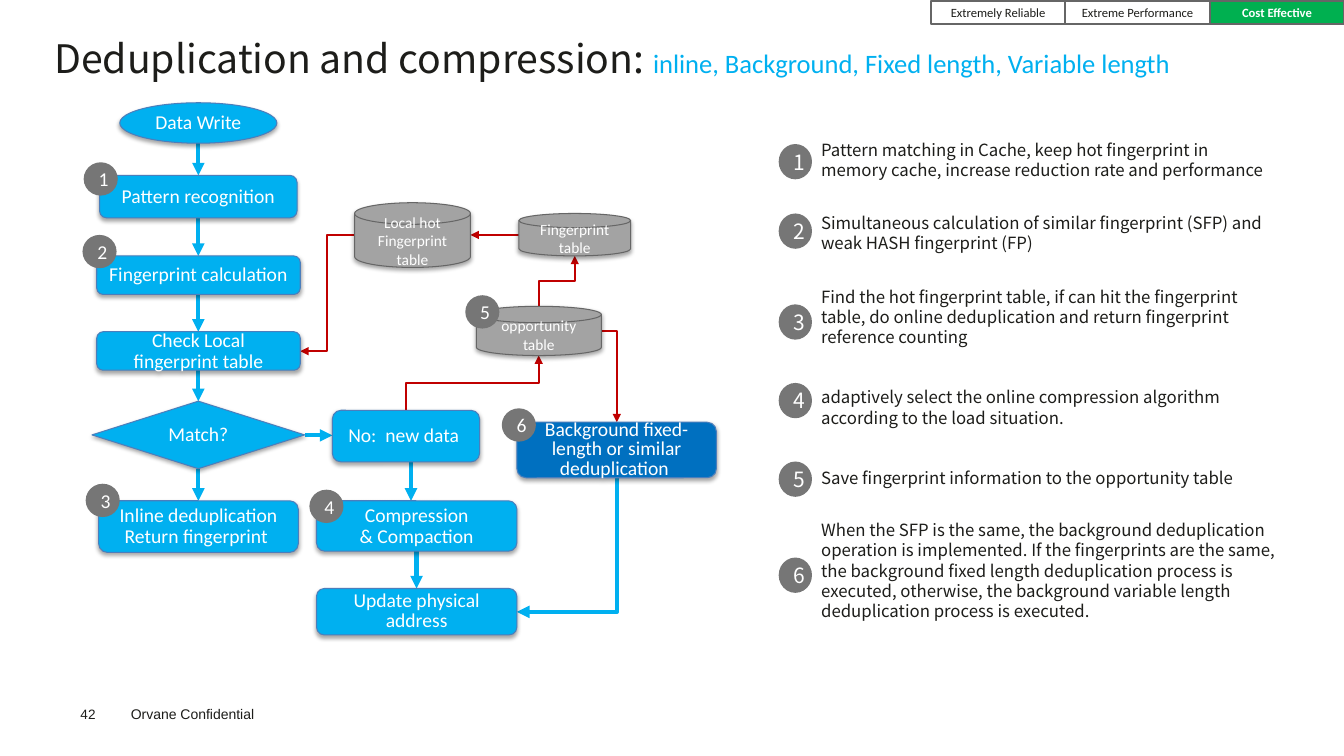
from lxml import etree
from pptx import Presentation
from pptx.dml.color import RGBColor
from pptx.enum.shapes import MSO_CONNECTOR, MSO_SHAPE
from pptx.enum.text import MSO_ANCHOR, PP_ALIGN
from pptx.oxml.ns import qn
from pptx.util import Cm, Pt

STRAIGHT, ELBOW = MSO_CONNECTOR.STRAIGHT, MSO_CONNECTOR.ELBOW
ROUNDED, OVAL, RECT = MSO_SHAPE.ROUNDED_RECTANGLE, MSO_SHAPE.OVAL, MSO_SHAPE.FLOWCHART_PROCESS
DISK, DECISION = MSO_SHAPE.FLOWCHART_MAGNETIC_DISK, MSO_SHAPE.FLOWCHART_DECISION
CENTER, LEFT = PP_ALIGN.CENTER, PP_ALIGN.LEFT
MIDDLE, TOP = MSO_ANCHOR.MIDDLE, MSO_ANCHOR.TOP

BODY, LABEL = "Noto Sans CJK SC", "Calibri"
INK, WHITE, BLUE, DEEP_BLUE, BLUE_EDGE = "1D1D1A", "FFFFFF", "00B0F0", "0070C0", "4B7EBC"
RED, GREEN, GREY, DISK_GREY, EDGE = "C00000", "00B050", "767676", "A3A3A3", "666666"
rgb = RGBColor.from_string

prs = Presentation()
prs.slide_width, prs.slide_height = Cm(33.88), Cm(19.05)
s = prs.slides.add_slide(prs.slide_layouts[6])


def add_block(kind, frame, text, size, font=LABEL, color=WHITE, fill=None, edge=None,
              edge_width=0.75, shadow=False, spacing=None):
    """Add a preset shape with centred text, or a left-aligned text box if kind is None."""
    frame = [Cm(v) for v in frame]
    if kind is None:
        sp = s.shapes.add_textbox(*frame)
    else:
        sp = s.shapes.add_shape(kind, *frame)
        sp.shadow.inherit = False
        if fill:
            sp.fill.solid()
            sp.fill.fore_color.rgb = rgb(fill)
        else:
            sp.fill.background()
        if edge:
            sp.line.color.rgb = rgb(edge)
            sp.line.width = Pt(edge_width)
        else:
            sp.line.fill.background()
    if shadow:
        effects = sp._element.spPr.find(qn("a:effectLst"))
        outer = etree.SubElement(effects, qn("a:outerShdw"), blurRad=str(Pt(3.1)),
                                 dist=str(Pt(1.8)), dir="5400000", rotWithShape="0")
        black = etree.SubElement(outer, qn("a:srgbClr"), val="000000")
        etree.SubElement(black, qn("a:alpha"), val="35000")
    tf = sp.text_frame
    tf.word_wrap = True
    tf.vertical_anchor = MIDDLE if kind else TOP
    tf.text = text
    for p in tf.paragraphs:
        p.alignment = CENTER if kind else LEFT
        if spacing:
            p.line_spacing = Pt(spacing)
        p.font.name, p.font.size = font, Pt(size)
        p.font.color.rgb = rgb(color)
    return sp


def add_arrow(x1, y1, x2, y2, color=BLUE, width=3, kind=STRAIGHT, vertical=False, corner=False):
    """Add an arrow; an elbow may leave vertically, and turns once if corner is set."""
    if vertical:
        # A quarter turn about the centre makes the elbow start downwards or upwards.
        cx, cy, dx, dy = (x1 + x2) / 2, (y1 + y2) / 2, x2 - x1, y2 - y1
        x1, y1, x2, y2 = cx - dy / 2, cy + dx / 2, cx + dy / 2, cy - dx / 2
    c = s.shapes.add_connector(kind, Cm(x1), Cm(y1), Cm(x2), Cm(y2))
    c.line.color.rgb = rgb(color)
    c.line.width = Pt(width)
    spPr = c._element.spPr
    if vertical:
        spPr.find(qn("a:xfrm")).set("rot", "5400000")
    if corner:
        spPr.find(qn("a:prstGeom")).set("prst", "bentConnector2")
    etree.SubElement(spPr.find(qn("a:ln")), qn("a:tailEnd"), type="triangle")
    etree.SubElement(spPr, qn("a:effectLst"))


# Title, footer and topic tabs
title = add_block(None, (1.12, 0.79, 30.07, 1.57), "Deduplication and compression: ", 28,
                  BODY, INK, spacing=32)
r = title.text_frame.paragraphs[0].add_run()
r.text = "inline, Background, Fixed length, Variable length"
r.font.name, r.font.size = LABEL, Pt(19)
r.font.color.rgb = rgb(BLUE)

add_block(None, (3.05, 17.65, 5, 0.69), "Orvane Confidential", 10, "Arial", INK)
number = add_block(None, (2.03, 17.78, 1.4, 0.41), "42", 9.7, "Arial", INK).text_frame
number.margin_left = number.margin_top = number.margin_right = number.margin_bottom = 0

for left, width, text, color, fill in [
    (23.47, 3.38, "Extremely Reliable", INK, None),
    (26.85, 3.65, "Extreme Performance", INK, None),
    (30.5, 3.38, "Cost Effective", WHITE, GREEN),
]:
    tab = add_block(RECT, (left, 0.03, width, 0.58), text, 9, color=color, fill=fill,
                    edge=EDGE, edge_width=1)
    tab.text_frame.paragraphs[0].font.bold = fill is not None

# Flow chart
AXIS = 5
for x1, y1, x2, y2 in [
    (AXIS, 3.61, AXIS, 4.42),
    (AXIS, 5.49, AXIS, 6.45),
    (AXIS, 7.42, AXIS, 8.36),
    (AXIS, 9.33, AXIS, 10.11),
    (AXIS, 11.81, AXIS, 12.62),
    (7.7, 10.97, 8.38, 10.97),
    (10.36, 11.64, 10.36, 12.62),
    (10.5, 13.89, 10.5, 14.83),
]:
    add_arrow(x1, y1, x2, y2)
add_arrow(15.55, 12.04, 13.03, 15.42, kind=ELBOW, vertical=True, corner=True)

add_arrow(13.08, 5.92, 11.86, 5.92, RED, 1.5)
for ends, vertical, corner in [
    ((8.94, 5.92, 7.57, 8.85), False, False),
    ((13.58, 7.72, 14.49, 6.45), True, False),
    ((10.24, 10.34, 13.58, 8.96), True, False),
    ((15.15, 8.35, 15.55, 10.64), False, True),
]:
    add_arrow(*ends, RED, 1.5, ELBOW, vertical, corner)

for kind, frame, text, fill, spacing in [
    (OVAL, (3.02, 2.59, 3.96, 1.02), "Data Write", BLUE, 15),
    (ROUNDED, (2.51, 4.42, 4.98, 1.07), "Pattern recognition", BLUE, 15),
    (ROUNDED, (2.44, 6.45, 5.13, 0.97), "Fingerprint calculation", BLUE, 15),
    (ROUNDED, (2.44, 8.36, 5.13, 0.97), "Check Local fingerprint table", BLUE, 15),
    (DECISION, (2.32, 10.11, 5.36, 1.7), "Match?", BLUE, 15),
    (ROUNDED, (2.49, 12.62, 5.03, 1.3), "Inline deduplication Return fingerprint ", BLUE, 15),
    (ROUNDED, (8.38, 10.34, 3.71, 1.3), "No:  new data ", BLUE, 15),
    (ROUNDED, (7.98, 12.62, 5.05, 1.27), "Compression\n& Compaction", BLUE, 15),
    (ROUNDED, (7.98, 14.83, 5.05, 1.17), "Update physical address", BLUE, 14),
    (ROUNDED, (13.03, 10.64, 5.03, 1.4), "Background fixed-length or similar deduplication ",
     DEEP_BLUE, 14),
]:
    add_block(kind, frame, text, 14, fill=fill, edge=BLUE_EDGE, shadow=True, spacing=spacing)

for frame, text in [
    ((8.94, 5.11, 2.92, 1.63), "Local hot Fingerprint table"),
    ((13.08, 5.38, 2.82, 1.07), "Fingerprint table"),
    ((12.01, 7.72, 3.15, 1.24), "opportunity table"),
]:
    add_block(DISK, frame, text, 11, fill=DISK_GREY, edge=EDGE, shadow=True)

badges = [(2.11, 4.09), (2.08, 5.92), (2.16, 12.19), (7.8, 12.34), (11.73, 7.44), (12.65, 10.29)]
for step, (left, top) in enumerate(badges, 1):
    add_block(OVAL, (left, top, 0.86, 0.84), str(step), 14, fill=GREY)

# Numbered explanations
explanations = [
    (3.4, 1.27, 3.63, "Pattern matching in Cache, keep hot fingerprint in memory cache, "
     "increase reduction rate and performance"),
    (5.23, 1.27, 5.38, "Simultaneous calculation of similar fingerprint (SFP) and "
     "weak HASH fingerprint (FP)"),
    (7.09, 1.8, 7.67, "Find the hot fingerprint table, if can hit the fingerprint table, "
     "do online deduplication and return fingerprint reference counting"),
    (9.63, 1.27, 9.65, "adaptively select the online compression algorithm "
     "according to the load situation."),
    (11.66, 0.76, 11.63, "Save fingerprint information to the opportunity table"),
    (12.98, 3.33, 14.05, "When the SFP is the same, the background deduplication operation is "
     "implemented. If the fingerprints are the same, the background fixed length deduplication "
     "process is executed, otherwise, the background variable length deduplication process "
     "is executed."),
]
for step, (top, height, badge_top, text) in enumerate(explanations, 1):
    add_block(None, (20.45, top, 12.04, height), text, 12, BODY, INK, spacing=14.4)
    add_block(OVAL, (19.63, badge_top, 0.84, 0.89), str(step), 15, BODY, fill=GREY)

prs.save("out.pptx")
